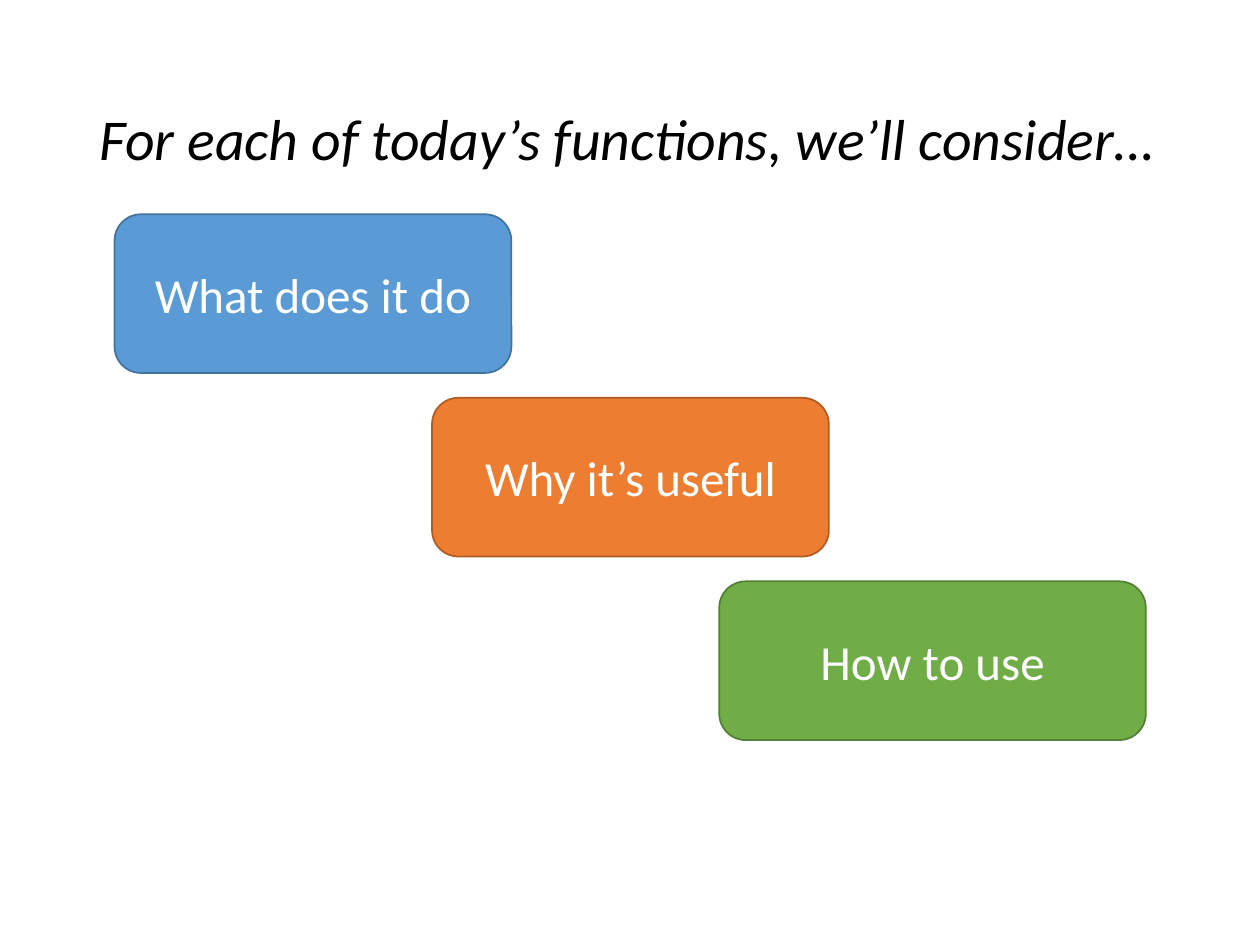
from pptx import Presentation
from pptx import util as u
from pptx.dml.color import RGBColor
from pptx.enum import shapes, text


def color(value):
    return RGBColor.from_string(value)


class SlideBuilder:
    """Hold the text style and the current slide."""

    font_name = "Calibri"
    title_size = 33
    box_size = 28

    def __init__(self, slide):
        self.slide = slide

    def format_text(self, shape, words, size, ink, alignment):
        frame = shape.text_frame
        frame.text = words
        frame.word_wrap = True
        frame.auto_size = text.MSO_AUTO_SIZE.NONE
        frame.vertical_anchor = text.MSO_ANCHOR.MIDDLE
        paragraph = frame.paragraphs[0]
        paragraph.alignment = alignment
        paragraph.font.name = self.font_name
        paragraph.font.size = u.Pt(size)
        paragraph.font.color.rgb = color(ink)
        return paragraph

    def title(self, words, left, top, width, height):
        shape = self.slide.shapes.title
        shape.left, shape.top = u.Cm(left), u.Cm(top)
        shape.width, shape.height = u.Cm(width), u.Cm(height)
        paragraph = self.format_text(
            shape, words, self.title_size, "000000", text.PP_ALIGN.LEFT
        )
        paragraph.line_spacing = 0.9
        paragraph.font.italic = True

    def box(self, words, left, top, width, height, fill, line):
        shape = self.slide.shapes.add_shape(
            shapes.MSO_SHAPE.ROUNDED_RECTANGLE,
            u.Cm(left), u.Cm(top), u.Cm(width), u.Cm(height),
        )
        shape.shadow.inherit = False
        shape.fill.solid()
        shape.fill.fore_color.rgb = color(fill)
        shape.line.color.rgb = color(line)
        shape.line.width = u.Pt(1)
        self.format_text(
            shape, words, self.box_size, "FFFFFF", text.PP_ALIGN.CENTER
        )


def main():
    presentation = Presentation()
    presentation.slide_width = u.Cm(25.4)
    presentation.slide_height = u.Cm(19.05)
    slide = presentation.slides.add_slide(presentation.slide_layouts[5])
    builder = SlideBuilder(slide)
    builder.title(
        "For each of today’s functions, we’ll consider…", 1.75, 1.01, 21.9, 3.68
    )

    questions = [
        ("What does it do", 2.31, 8, "5B9BD5", "43739E"),
        ("Why it’s useful", 8.71, 8, "ED7D31", "AF5C24"),
        ("How to use", 14.5, 8.6, "70AD47", "538035"),
    ]
    first_top, step, height = 4.32, 3.7, 3.2
    for index, (words, left, width, fill, line) in enumerate(questions):
        top = first_top + index * step
        builder.box(words, left, top, width, height, fill, line)

    presentation.save("out.pptx")


if __name__ == "__main__":
    main()
